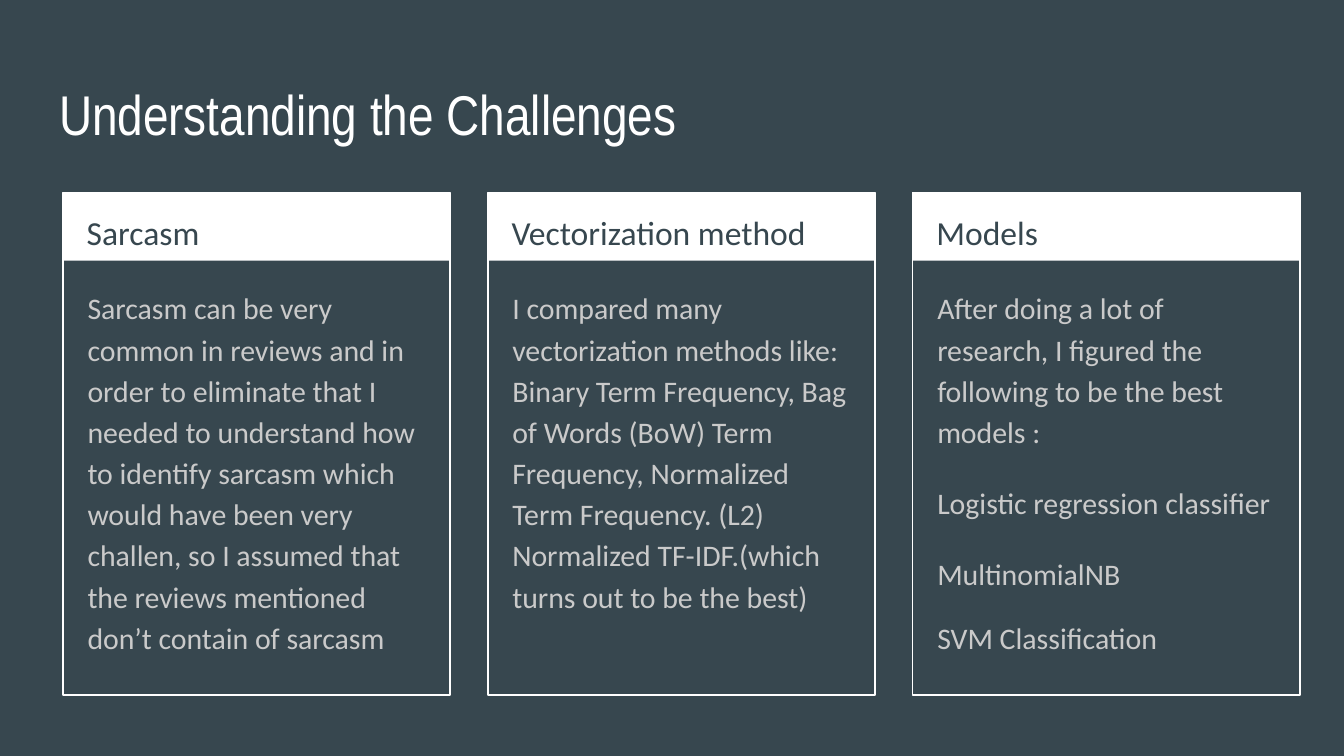
from pptx import Presentation
from pptx.dml.color import RGBColor
from pptx.enum.shapes import MSO_SHAPE as Shape
from pptx.enum.text import MSO_ANCHOR as Anchor, MSO_AUTO_SIZE as AutoSize, PP_ALIGN as Align
from pptx.util import Pt

SLATE = RGBColor(0x37, 0x47, 0x4F)
WHITE = RGBColor(0xFF, 0xFF, 0xFF)
SILVER = RGBColor(0xCA, 0xCA, 0xCA)

CARD_LEFT, CARD_TOP, CARD_PITCH = 33.8, 103, 227.6
CARD_WIDTH, CARD_HEIGHT, HEADER_HEIGHT = 207.4, 269.3, 36.7

FRAME_FORMAT = {
    "word_wrap": True, "auto_size": AutoSize.NONE, "vertical_anchor": Anchor.TOP,
    "margin_left": Pt(7.2), "margin_right": Pt(7.2),
    "margin_top": Pt(7.2), "margin_bottom": Pt(7.2),
}
TITLE_FONT = {"name": "Arial Narrow", "size": Pt(30)}
HEADING_FONT = {"name": "Calibri", "size": Pt(18)}
BODY_FONT = {"name": "Calibri", "size": Pt(16)}

CARDS = [
    ("Sarcasm", [
        ("Sarcasm can be very common in reviews and in order to eliminate that I "
         "needed to understand how to identify sarcasm which would have been very "
         "challen, so I assumed that the reviews mentioned don’t contain of sarcasm", 0),
    ]),
    ("Vectorization method", [
        ("I compared many vectorization methods like: Binary Term Frequency, Bag of "
         "Words (BoW) Term Frequency, Normalized Term Frequency. (L2) Normalized "
         "TF-IDF.(which turns out to be the best)", 0),
    ]),
    ("Models", [
        ("After doing a lot of research, I figured the following to be the best models :", 0),
        ("Logistic regression classifier", 16),
        ("MultinomialNB", 16),
        ("SVM Classification", 12),
    ]),
]


def apply_format(target, values):
    """Set each attribute named in values on the target."""
    for attribute, value in values.items():
        setattr(target, attribute, value)


def write_text(holder, paragraphs, font, color, line_spacing=1.15):
    """Fill a text holder with (text, space before) paragraphs."""
    frame = holder.text_frame
    apply_format(frame, FRAME_FORMAT)
    for index, (text, space_before) in enumerate(paragraphs):
        paragraph = frame.add_paragraph() if index else frame.paragraphs[0]
        apply_format(paragraph, {
            "alignment": Align.LEFT, "line_spacing": line_spacing,
            "space_before": Pt(space_before), "space_after": Pt(0),
        })
        run = paragraph.add_run()
        run.text = text
        apply_format(run.font, font)
        run.font.color.rgb = color


def add_title(slide, text):
    """Place and fill the title placeholder."""
    title = slide.shapes.title
    apply_format(title, {"left": Pt(24.5), "top": Pt(35.3),
                         "width": Pt(671), "height": Pt(45.4)})
    write_text(title, [(text, 0)], TITLE_FONT, WHITE, 1.0)


def add_panel(group, left, height, filled):
    """Add a white panel, either filled or outlined."""
    panel = group.shapes.add_shape(
        Shape.RECTANGLE, Pt(left), Pt(CARD_TOP), Pt(CARD_WIDTH), Pt(height))
    panel.shadow.inherit = False
    if filled:
        panel.fill.solid()
        panel.fill.fore_color.rgb = WHITE
        panel.line.fill.background()
    else:
        panel.fill.background()
        panel.line.color.rgb = WHITE
        panel.line.width = Pt(0.75)


def add_text(slide, left, top, width, height, paragraphs, font, color):
    """Add a text box with formatted paragraphs."""
    box = slide.shapes.add_textbox(Pt(left), Pt(top), Pt(width), Pt(height))
    write_text(box, paragraphs, font, color)


def add_card(slide, left, heading, paragraphs):
    """Add a framed card with a header band, heading and body."""
    card = slide.shapes.add_group_shape()
    add_panel(card, left, HEADER_HEIGHT, True)
    add_panel(card, left, CARD_HEIGHT, False)
    add_text(slide, left + 5.6, CARD_TOP, 196.6, 36, [(heading, 0)], HEADING_FONT, SLATE)
    add_text(slide, left + 6, 145.4, 195.1, 220.3, paragraphs, BODY_FONT, SILVER)


def main():
    """Build and save the slide."""
    deck = Presentation()
    apply_format(deck, {"slide_width": Pt(720), "slide_height": Pt(405)})
    slide = deck.slides.add_slide(deck.slide_layouts[5])
    slide.background.fill.solid()
    slide.background.fill.fore_color.rgb = SLATE
    add_title(slide, "Understanding the Challenges")
    for column, (heading, paragraphs) in enumerate(CARDS):
        add_card(slide, CARD_LEFT + column * CARD_PITCH, heading, paragraphs)
    deck.save("out.pptx")


if __name__ == "__main__":
    main()
